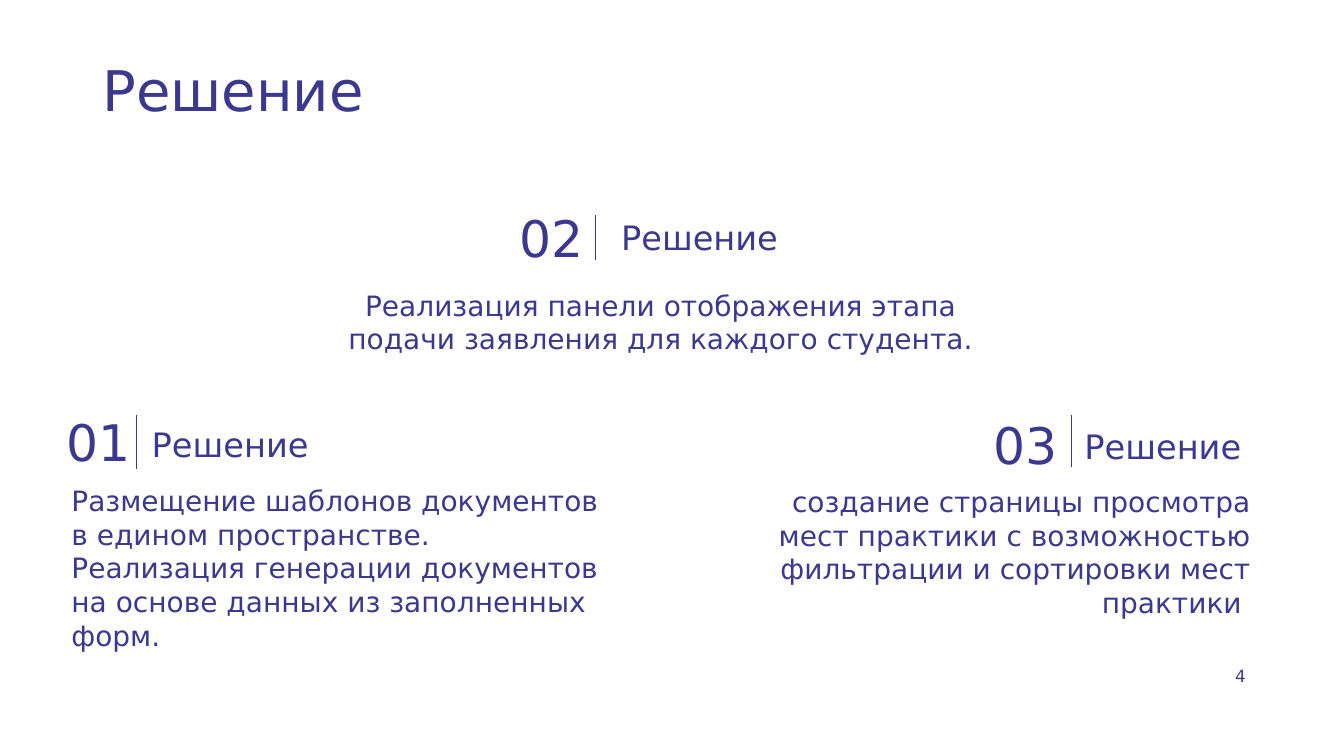
import dataclasses

import pptx
import pptx.dml.color
import pptx.enum.shapes
import pptx.enum.text
import pptx.oxml.ns
import pptx.util
from lxml import etree

Cm = pptx.util.Cm
Pt = pptx.util.Pt
ALIGN = pptx.enum.text.PP_ALIGN
ANCHOR = pptx.enum.text.MSO_ANCHOR


@dataclasses.dataclass(frozen=True)
class Theme:
    ink = pptx.dml.color.RGBColor.from_string("3C388D")
    font = "DejaVu Sans"
    title = 40
    number = 36
    head = 24
    body = 20
    page = 12
    rule = 0.75
    tight = 0.13
    pad = 0.25


THEME = Theme()

# box: left, top, width, height; all other lengths are offsets inside it, in cm.
# rule: x, top, bottom; number and head: x, y, width, height; body: x, y.
BLOCKS = [
    dict(box=(1.19, 10.13, 14.18, 6.45), label="01", title="Решение ",
         lines=["Размещение шаблонов документов в едином пространстве.",
                "Реализация генерации документов на основе данных из заполненных форм."],
         number=(0, 0, 2.59, 2.01), rule=(2.24, 0.33, 1.68),
         head=(2.13, 0.51, 5.23, 1.32), body=(0.36, 1.93),
         side=ALIGN.LEFT, flush=ALIGN.CENTER, pad=THEME.tight),
    dict(box=(7.95, 4.98, 17.4, 4.47), label="02", title="Решение",
         lines=["Реализация панели отображения этапа подачи заявления для каждого студента."],
         number=(4.88, 0, 2.16, 2.01), rule=(7.06, 0.43, 1.57),
         head=(6.81, 0.23, 5.74, 1.52), body=(0, 2.03),
         side=ALIGN.CENTER, flush=ALIGN.CENTER, pad=THEME.pad),
    dict(box=(18.21, 10.21, 13.56, 4.19), label="03", title="Решение ",
         lines=["создание страницы просмотра мест практики с возможностью "
                "фильтрации и сортировки мест практики "],
         number=(6.45, 0, 2.24, 2.01), rule=(8.79, 0.25, 1.55),
         head=(8.79, 0.48, 4.88, 1.3), body=(0, 1.75),
         side=ALIGN.RIGHT, flush=ALIGN.RIGHT, pad=THEME.pad),
]


def write(slide, box, lines, size, align=ALIGN.LEFT, anchor=ANCHOR.TOP,
          pad=THEME.tight, space=None):
    """Add a text box with one paragraph for each line."""
    frame = slide.shapes.add_textbox(*map(Cm, box)).text_frame
    look = dict(word_wrap=True, vertical_anchor=anchor,
                margin_left=Cm(THEME.pad), margin_right=Cm(THEME.pad),
                margin_top=Cm(pad), margin_bottom=Cm(pad))
    for name, value in look.items():
        setattr(frame, name, value)
    frame.text = "\n".join(lines)
    for para in frame.paragraphs:
        para.alignment = align
        para.line_spacing = space
        font = para.runs[0].font
        font.name, font.size = THEME.font, Pt(size)
        font.color.rgb = THEME.ink


def draw_rule(slide, x, top, bottom):
    line = slide.shapes.add_connector(
        pptx.enum.shapes.MSO_CONNECTOR.STRAIGHT, Cm(x), Cm(bottom), Cm(x), Cm(top))
    line.line.color.rgb = THEME.ink
    line.line.width = Pt(THEME.rule)
    props = line.element.find(pptx.oxml.ns.qn("p:spPr"))
    etree.SubElement(props, pptx.oxml.ns.qn("a:effectLst"))


def add_block(slide, box, label, title, lines, number, rule, head, body,
              side, flush, pad):
    """Place a number, a rule, a heading and the text below them in the box."""
    left, top, width, height = box

    def place(x, y, w, h):
        return left + x, top + y, w, h

    x, y = body
    write(slide, place(x, y, width - x, height - y), lines, THEME.body, side, pad=pad)
    write(slide, place(*number), [label], THEME.number, flush, ANCHOR.BOTTOM, THEME.pad)
    write(slide, place(*head), [title], THEME.head, ALIGN.CENTER, ANCHOR.BOTTOM, THEME.pad)
    x, start, end = rule
    draw_rule(slide, left + x, top + start, top + end)


def main():
    deck = pptx.Presentation()
    deck.slide_width, deck.slide_height = Cm(33.87), Cm(19.05)
    slide = deck.slides.add_slide(deck.slide_layouts[6])
    write(slide, (2.34, 1.45, 20.32, 2.18), ["Решение"], THEME.title, space=0.9)
    for block in BLOCKS:
        add_block(slide, **block)
    write(slide, (28.02, 16.64, 3.76, 1.02), ["4 "], THEME.page, ALIGN.RIGHT)
    deck.save("out.pptx")


if __name__ == "__main__":
    main()
